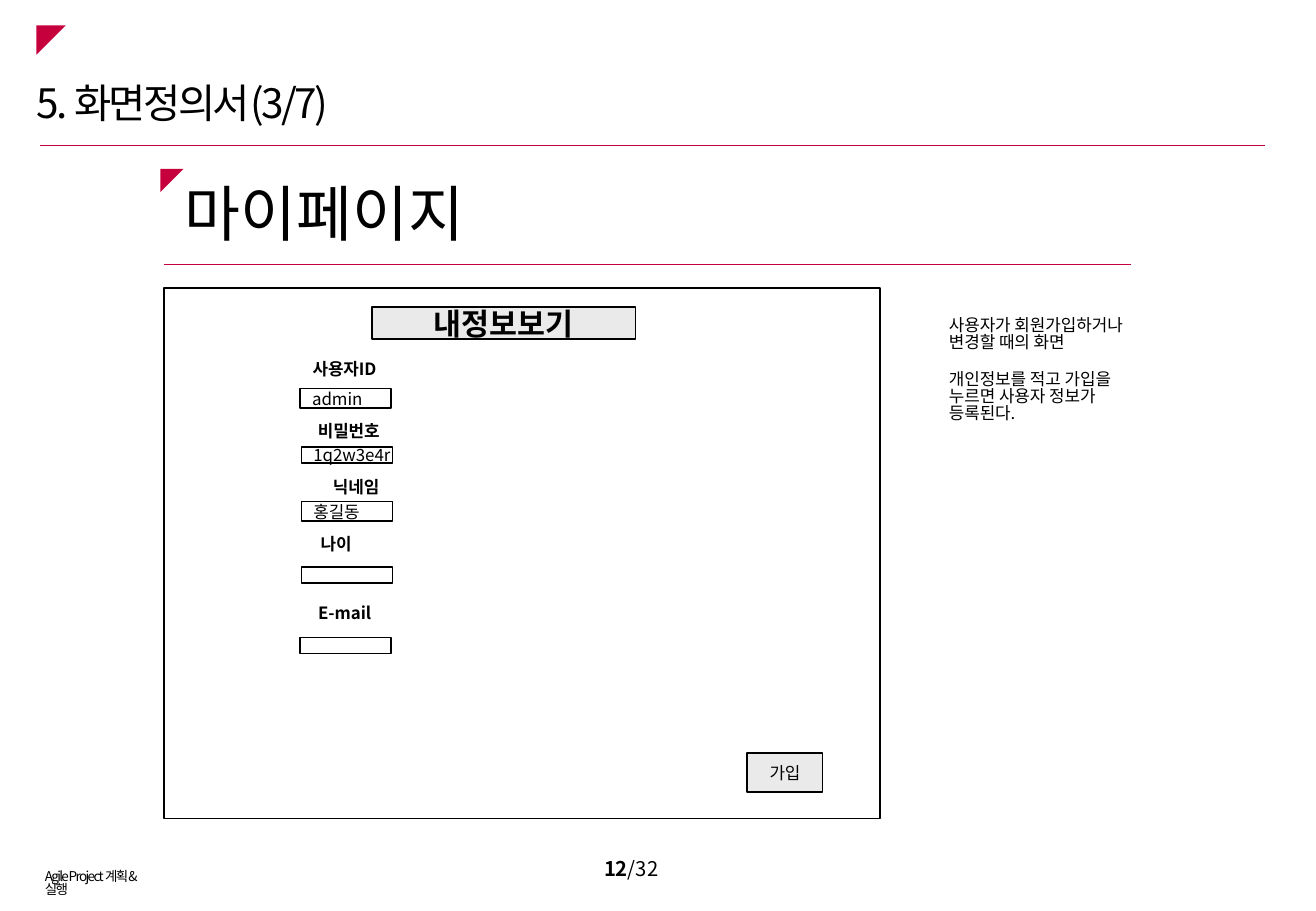
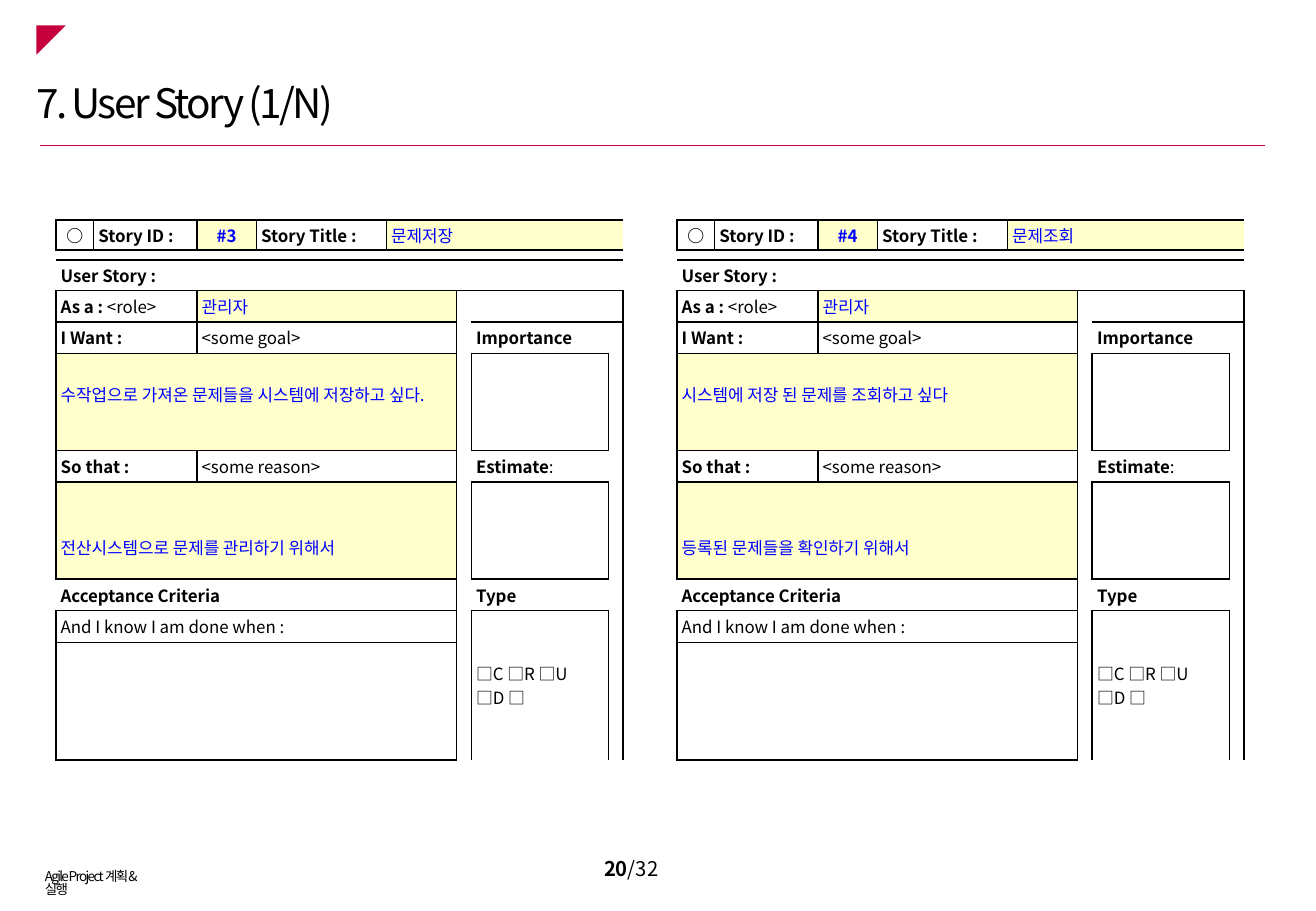
from typing import NamedTuple

from lxml.etree import SubElement
from pptx import Presentation
from pptx.dml.color import RGBColor
from pptx.enum.shapes import MSO_CONNECTOR, MSO_SHAPE
from pptx.enum.text import MSO_ANCHOR, PP_ALIGN
from pptx.oxml.ns import qn
from pptx.util import Inches, Pt


class Theme:
    font = "Noto Sans CJK KR"
    ink, accent = "000000", "C5003D"
    panel, paper = "EAEAEA", "FFFFFF"
    entry, entry_fill = "0000FF", "FFFFCC"
    footer, body, page, button, title, heading = 8, 10, 12, 18, 24, 36
    rule, border = 0.75, 1
    leading = 0.83
    no_grid = "{2D5ABB26-0587-4C30-8999-92F81FD0307C}"


class Cell(NamedTuple):
    row: int
    col: int
    bold: str = ""
    plain: str = ""
    rows: int = 1
    cols: int = 1
    sides: str = "LRTB"
    entry: bool = False
    center: bool = False
    drop: int = -1  # lines left free above top-anchored text


# ---- Content ----
WIDTH, HEIGHT = 10.83, 7.5
FOOTER = "Agile Project 계획&실행"
PAGES = 32

NOTES = ["사용자가 회원가입하거나 변경할 때의 화면",
         "개인정보를 적고 가입을 누르면 사용자 정보가 등록된다."]

# label, (left, top, width), centred; value, (left, top, height)
FIELDS = [
    ("사용자ID", (2.29, 2.93, 1.09), True, "admin", (2.47, 3.2, 0.16)),
    ("비밀번호", (2.43, 3.44, 0.88), True, "1q2w3e4r", (2.48, 3.68, 0.13)),
    ("닉네임", (2.47, 3.9, 0.92), True, "홍길동", (2.48, 4.13, 0.16)),
    ("나이", (2.54, 4.37, 0.54), False, "", (2.48, 4.67, 0.13)),
    ("E-mail", (2.52, 4.94, 0.94), False, "", (2.47, 5.25, 0.13)),
]

STORIES = [
    dict(id="#3", title="문제저장", role="관리자",
         goal="수작업으로 가져온 문제들을 시스템에 저장하고 싶다.",
         reason="전산시스템으로 문제를 관리하기 위해서"),
    dict(id="#4", title="문제조회", role="관리자",
         goal="시스템에 저장 된 문제를 조회하고 싶다",
         reason="등록된 문제들을 확인하기 위해서"),
]
STORY_COLS = [0.31, 0.85, 0.49, 1.07, 0.58, 0.11, 1.13, 0.11]
STORY_ROWS = [0.25, 0.08, 0.25, 0.26, 0.26, 0.26, 0.54,
              0.26, 0.26, 0.54, 0.26, 0.26, 0.97]
STORY_CELLS = [
    Cell(0, 0, "○", center=True),
    Cell(0, 1, "Story ID :"),
    Cell(0, 2, "{id}", entry=True, center=True),
    Cell(0, 3, "Story Title :"),
    Cell(0, 4, plain="{title}", cols=4, entry=True),
    Cell(1, 0, cols=8, sides="T"),
    Cell(2, 0, "User Story :", cols=2, sides="B"),
    Cell(2, 2, cols=6, sides="B"),
    Cell(3, 0, "As a : ", "<role>", cols=2),
    Cell(3, 2, plain="{role}", cols=3, entry=True),
    Cell(3, 5, rows=10, sides="LTB"),
    Cell(3, 6, sides="T"),
    Cell(3, 7, sides="RT"),
    Cell(4, 0, "I Want :", cols=2),
    Cell(4, 2, plain="<some goal>", cols=3),
    Cell(4, 6, "Importance", sides="B"),
    Cell(5, 0, plain="{goal}", rows=2, cols=5, entry=True, drop=1),
    Cell(5, 6, rows=2),
    Cell(7, 0, "So that :", cols=2),
    Cell(7, 2, plain="<some reason>", cols=3),
    Cell(7, 6, "Estimate", ":", sides="TB"),
    Cell(8, 0, plain="{reason}", rows=2, cols=5, entry=True, drop=2),
    Cell(8, 6, rows=2),
    Cell(10, 0, "Acceptance Criteria", cols=5, sides="TB"),
    Cell(10, 6, "Type", sides="TB"),
    Cell(11, 0, plain="And I know I am done when :", cols=5),
    Cell(11, 6, plain="□C □R □U\n□D □", rows=2),
    Cell(12, 0, cols=5),
] + [Cell(row, 7, sides="R") for row in range(4, 13)]


# ---- Helpers ----
def rgb(value):
    return RGBColor.from_string(value)


def box(*lengths):
    return [Inches(v) for v in lengths]


def style_run(r, size, bold=False, color=Theme.ink, spacing=0):
    r.font.size, r.font.bold, r.font.name = Pt(size), bold, Theme.font
    r.font.color.rgb = rgb(color)
    rPr = r.font._element
    SubElement(rPr, qn("a:ea")).set("typeface", Theme.font)
    if spacing:
        rPr.set("spc", str(int(spacing * 100)))


def style_text(tf, size, center=False, leading=1.0, gap=0, **font):
    for i, p in enumerate(tf.paragraphs):
        p.alignment = PP_ALIGN.CENTER if center else PP_ALIGN.LEFT
        p.line_spacing = leading
        if i and gap:
            p.space_before = Pt(gap)
        for r in p.runs:
            style_run(r, size, **font)


def add_text(slide, at, text, size, **style):
    tf = slide.shapes.add_textbox(*box(*at)).text_frame
    tf.word_wrap = True
    tf.text = text
    style_text(tf, size, leading=Theme.leading, **style)
    return tf


def add_rule(slide, x1, x2, y):
    line = slide.shapes.add_connector(MSO_CONNECTOR.STRAIGHT, *box(x1, y, x2, y))
    line.line.color.rgb = rgb(Theme.accent)
    line.line.width = Pt(Theme.rule)
    SubElement(line._element.spPr, qn("a:effectLst"))


def add_corner(slide, x, y, size):
    sp = slide.shapes.add_shape(MSO_SHAPE.ISOSCELES_TRIANGLE, *box(x, y, size, size))
    sp.adjustments[0] = 1
    sp.rotation = 180
    sp.shadow.inherit = False
    sp.fill.solid()
    sp.fill.fore_color.rgb = rgb(Theme.accent)
    sp.line.fill.background()


def add_box(slide, at, fill=None, text="", size=Theme.body, **style):
    sp = slide.shapes.add_shape(MSO_SHAPE.RECTANGLE, *box(*at))
    sp.shadow.inherit = False
    if fill:
        sp.fill.solid()
        sp.fill.fore_color.rgb = rgb(fill)
    else:
        sp.fill.background()
    sp.line.color.rgb = rgb(Theme.ink)
    sp.line.width = Pt(Theme.border)
    tf = sp.text_frame
    tf.word_wrap = False
    tf.vertical_anchor = MSO_ANCHOR.MIDDLE
    tf.text = text
    style_text(tf, size, **style)


def add_slide(prs, title, page):
    slide = prs.slides.add_slide(prs.slide_layouts[6])
    add_corner(slide, 0.3, 0.21, 0.24)
    add_text(slide, (0.2, 0.66, 5.05, 0.5), title, Theme.title, spacing=-1.5)
    add_rule(slide, 0.33, 10.41, 1.2)
    add_text(slide, (0.27, 7.12, 1.12, 0.24), FOOTER, Theme.footer, spacing=-1)
    tf = add_text(slide, (4.58, 6.98, 1.23, 0.37), str(page), Theme.page,
                  bold=True, center=True)
    tf.vertical_anchor = MSO_ANCHOR.MIDDLE
    r = tf.paragraphs[0].add_run()
    r.text = f"/{PAGES}"
    style_run(r, Theme.page)
    return slide


# ---- Story card table ----
def draw_borders(table, item):
    last_row, last_col = item.row + item.rows - 1, item.col + item.cols - 1
    for row in range(item.row, last_row + 1):
        for col in range(item.col, last_col + 1):
            on_edge = dict(L=col == item.col, R=col == last_col,
                           T=row == item.row, B=row == last_row)
            tcPr = table.cell(row, col)._tc.get_or_add_tcPr()
            for side in item.sides:
                if on_edge[side]:
                    ln = SubElement(tcPr, qn(f"a:ln{side}"))
                    ln.set("w", str(Pt(Theme.border)))
                    fill = SubElement(ln, qn("a:solidFill"))
                    SubElement(fill, qn("a:srgbClr")).set("val", Theme.ink)


def fill_cell(table, item, story):
    draw_borders(table, item)
    cell = table.cell(item.row, item.col)
    if item.rows * item.cols > 1:
        cell.merge(table.cell(item.row + item.rows - 1, item.col + item.cols - 1))
    if item.entry:
        cell.fill.solid()
        cell.fill.fore_color.rgb = rgb(Theme.entry_fill)
    color = Theme.entry if item.entry else Theme.ink
    tf = cell.text_frame
    tf.text = (item.bold or item.plain).format(**story)
    style_text(tf, Theme.body, center=item.center, bold=bool(item.bold), color=color)
    if item.bold and item.plain:
        r = tf.paragraphs[0].add_run()
        r.text = item.plain
        style_run(r, Theme.body)
    if item.drop < 0:
        cell.vertical_anchor = MSO_ANCHOR.MIDDLE
    else:
        cell.margin_top = Inches(0.04 + 0.2 * item.drop)


def add_story(slide, left, top, story):
    frame = slide.shapes.add_table(
        len(STORY_ROWS), len(STORY_COLS),
        *box(left, top, sum(STORY_COLS), sum(STORY_ROWS)))
    table = frame.table
    table.first_row = table.horz_banding = False
    table._tbl.tblPr.find(qn("a:tableStyleId")).text = Theme.no_grid
    for column, width in zip(table.columns, STORY_COLS):
        column.width = Inches(width)
    for row, height in zip(table.rows, STORY_ROWS):
        row.height = Inches(height)
    for cell in table.iter_cells():
        cell.margin_left = cell.margin_right = Inches(0.04)
        cell.margin_top = cell.margin_bottom = Inches(0.02)
        cell.fill.background()
        # borders must precede the fill, so the fill is set again below
        cell._tc.tcPr.remove(cell._tc.tcPr[-1])
    for item in STORY_CELLS:
        fill_cell(table, item, story)
    for cell in table.iter_cells():
        if not cell.text_frame.text:
            cell.margin_top = cell.margin_bottom = 0
            end = cell.text_frame.paragraphs[0]._p.get_or_add_endParaRPr()
            end.set("sz", "100")
        if cell.fill.type is None:
            cell.fill.background()


# ---- Slides ----
def build_screen(prs):
    slide = add_slide(prs, "5. 화면정의서(3/7)", 12)
    add_rule(slide, 1.35, 9.31, 2.18)
    add_corner(slide, 1.32, 1.39, 0.19)
    add_text(slide, (1.42, 1.5, 7.29, 0.71), "마이페이지", Theme.heading)
    add_text(slide, (7.71, 2.57, 1.79, 0.94), "\n".join(NOTES), Theme.body, gap=12)
    add_box(slide, (1.35, 2.37, 5.89, 4.37))
    add_box(slide, (3.06, 2.53, 2.17, 0.26), Theme.panel, "내정보보기",
            Theme.button, bold=True, center=True)
    for label, label_at, center, value, (x, y, h) in FIELDS:
        add_box(slide, (x, y, 0.75, h), Theme.paper, value)
        add_text(slide, (*label_at, 0.27), label, Theme.body, bold=True, center=center)
    add_box(slide, (6.15, 6.2, 0.62, 0.32), Theme.panel, "가입", center=True)


def build_stories(prs):
    slide = add_slide(prs, "7. User Story (1/N)", 20)
    for i, story in enumerate(STORIES):
        add_story(slide, 0.46 + 5.11 * i, 1.81, story)


def main():
    prs = Presentation()
    prs.slide_width, prs.slide_height = box(WIDTH, HEIGHT)
    build_screen(prs)
    build_stories(prs)
    prs.save("out.pptx")


if __name__ == "__main__":
    main()
